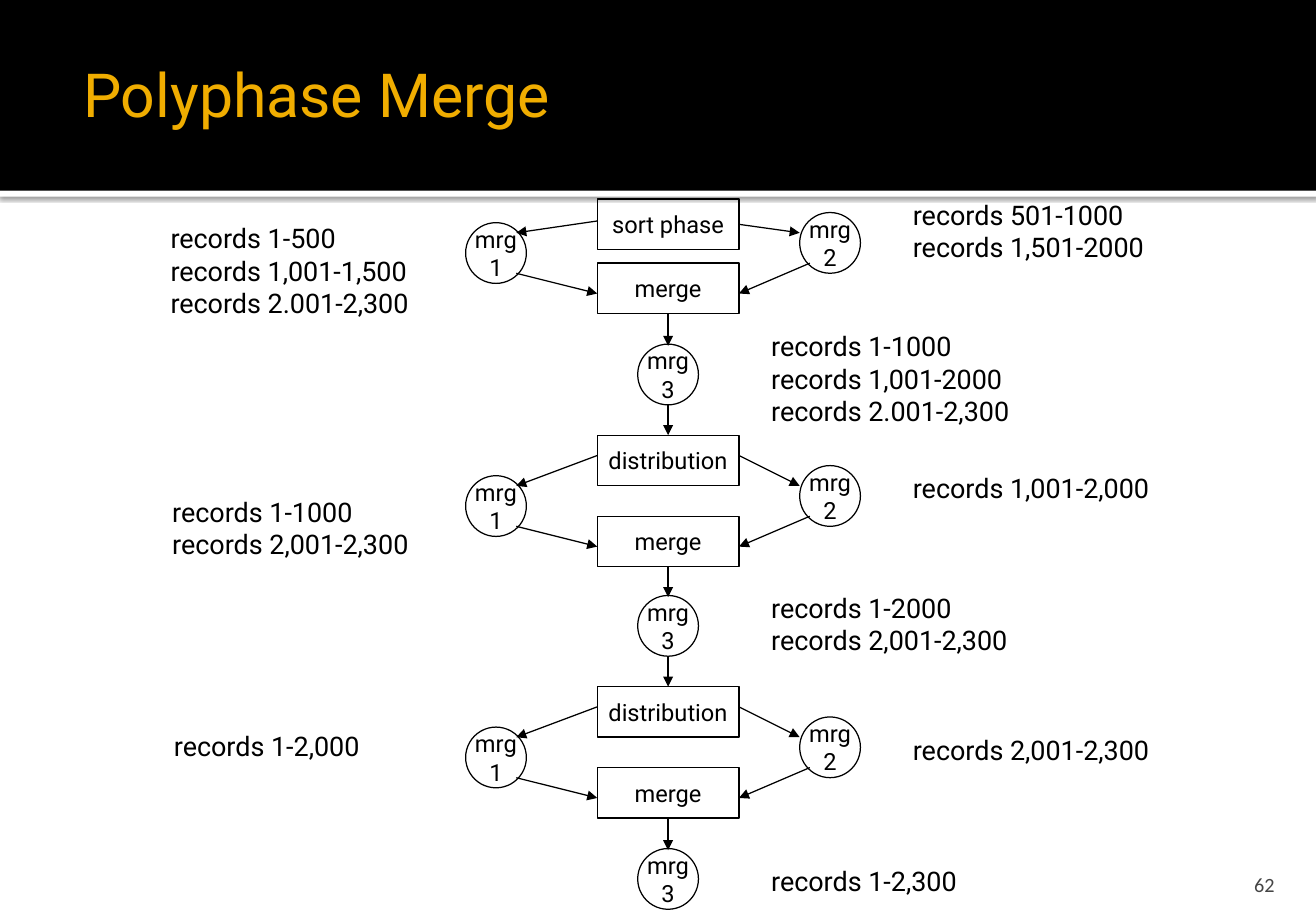
from lxml.etree import SubElement
from pptx import Presentation
from pptx.dml.color import RGBColor
from pptx.enum.shapes import MSO_CONNECTOR as Connector, MSO_SHAPE as Shape
from pptx.enum.text import MSO_ANCHOR as Anchor, MSO_AUTO_SIZE as AutoSize, PP_ALIGN as Align
from pptx.oxml import parse_xml
from pptx.oxml.ns import nsdecls, qn
from pptx.util import Pt

BLACK = RGBColor(0, 0, 0)
WHITE = RGBColor(255, 255, 255)
AMBER = RGBColor(0xF0, 0xAD, 0x00)
GREY = RGBColor(0x45, 0x45, 0x45)

PAGE_WIDTH, PAGE_HEIGHT = 780, 540
HEADER_HEIGHT = 113
STEP_LEFT, STEP_WIDTH, STEP_HEIGHT = 354, 84, 30
STEP_RIGHT = STEP_LEFT + STEP_WIDTH
CENTER = STEP_LEFT + STEP_WIDTH / 2
FILE_SIZE = 36
FILE_1_LEFT, FILE_2_LEFT, FILE_3_LEFT = 276, 474, CENTER - FILE_SIZE / 2

# First step, its top, top of its merge, top of the merged file, and where
# the two arrows leave the first step (left, right) relative to the merge.
PHASES = [
    ("sort phase", 118, 156, 204, (-25, -23)),
    ("distribution", 258, 306, 353, (-36, -36)),
    ("distribution", 407, 455, 503, (-36, -36)),
]

RECORDS = [
    (94, 128, "records 1-500\nrecords 1,001-1,500\nrecords 2.001-2,300"),
    (534, 114, "records 501-1000\nrecords 1,501-2000"),
    (450, 192, "records 1-1000\nrecords 1,001-2000\nrecords 2.001-2,300"),
    (95, 290, "records 1-1000\nrecords 2,001-2,300"),
    (534, 276, "records 1,001-2,000"),
    (450, 347, "records 1-2000\nrecords 2,001-2,300"),
    (96, 429, "records 1-2,000"),
    (534, 431, "records 2,001-2,300"),
    (450, 509, "records 1-2,300"),
]


def format_text(frame, size, color=BLACK, align=Align.LEFT, font="Roboto"):
    for para in frame.paragraphs:
        para.alignment = align
        para.space_before = Pt(0)
        for span in para.runs:
            span.font.name = font
            span.font.size = Pt(size)
            span.font.color.rgb = color


def add_band(page, top, height, color):
    band = page.shapes.add_shape(Shape.RECTANGLE, 0, Pt(top), Pt(PAGE_WIDTH), Pt(height))
    band.shadow.inherit = False
    band.fill.solid()
    band.fill.fore_color.rgb = color
    band.line.fill.background()
    return band


def add_header(page):
    strip = add_band(page, HEADER_HEIGHT, 3.6, WHITE)
    strip.element.spPr.find(qn("a:effectLst")).append(parse_xml(
        f'<a:outerShdw {nsdecls("a")} blurRad="{Pt(2.5)}" dist="{Pt(0.8)}" dir="5400000">'
        '<a:srgbClr val="000000"><a:alpha val="60000"/></a:srgbClr></a:outerShdw>'))
    add_band(page, 0, HEADER_HEIGHT, BLACK)

    title = page.shapes.title
    title.left, title.top, title.width, title.height = Pt(42), Pt(30), Pt(318), Pt(51)
    frame = title.text_frame
    frame.text = "Polyphase Merge"
    frame.vertical_anchor = Anchor.TOP
    frame.auto_size = AutoSize.NONE
    format_text(frame, 36, AMBER)
    page.shapes.element.append(title.element)  # in front of the header


def add_node(page, kind, left, top, width, height, text):
    node = page.shapes.add_shape(kind, Pt(left), Pt(top), Pt(width), Pt(height))
    node.shadow.inherit = False
    node.fill.background()
    node.line.color.rgb = BLACK
    node.line.width = Pt(0.75)
    frame = node.text_frame
    frame.text = text
    frame.word_wrap = False
    frame.vertical_anchor = Anchor.MIDDLE
    format_text(frame, 14, align=Align.CENTER)
    return node


def add_step(page, top, text):
    return add_node(page, Shape.RECTANGLE, STEP_LEFT, top, STEP_WIDTH, STEP_HEIGHT, text)


def add_file(page, left, top, number):
    return add_node(page, Shape.OVAL, left, top, FILE_SIZE, FILE_SIZE, f"mrg\n{number}")


def add_arrow(page, x1, y1, x2, y2):
    arrow = page.shapes.add_connector(Connector.STRAIGHT, Pt(x1), Pt(y1), Pt(x2), Pt(y2))
    arrow.line.color.rgb = BLACK
    arrow.line.width = Pt(0.75)
    SubElement(arrow.line._get_or_add_ln(), qn("a:tailEnd"), type="triangle")
    SubElement(arrow.element.spPr, qn("a:effectLst"))
    return arrow


def add_phase(page, first_text, first_top, merge_top, result_top, exits):
    """Draw one split and merge, and return its first step."""
    first = add_step(page, first_top, first_text)
    merge = add_step(page, merge_top, "merge")
    add_file(page, FILE_1_LEFT, merge_top - 24, 1)
    add_file(page, FILE_2_LEFT, merge_top - 30, 2)
    add_file(page, FILE_3_LEFT, result_top, 3)
    left_exit, right_exit = exits
    for x1, dy1, x2, dy2 in [
        (STEP_LEFT, left_exit, 306, -18),
        (STEP_RIGHT, right_exit, FILE_2_LEFT, -18),
        (306, 6, STEP_LEFT, 18),
        (480, 0, STEP_RIGHT, 18),
    ]:
        add_arrow(page, x1, merge_top + dy1, x2, merge_top + dy2)
    down = add_arrow(page, CENTER, merge_top + STEP_HEIGHT, CENTER, result_top + 1)
    down.begin_connect(merge, 2)
    return first


def add_records(page, left, top, text):
    height = 7.2 + 19 * len(text.splitlines())
    box = page.shapes.add_textbox(Pt(left), Pt(top), Pt(168), Pt(height))
    frame = box.text_frame
    frame.text = text
    frame.word_wrap = True
    frame.auto_size = AutoSize.SHAPE_TO_FIT_TEXT
    format_text(frame, 16)


def add_page_number(page, number):
    box = page.shapes.add_textbox(Pt(700), Pt(510), Pt(62.5), Pt(21.5))
    frame = box.text_frame
    frame.text = number
    frame.word_wrap = True
    frame.margin_bottom = 0
    frame.vertical_anchor = Anchor.BOTTOM
    format_text(frame, 12, GREY, Align.RIGHT, "Calibri")


def main():
    deck = Presentation()
    deck.slide_width, deck.slide_height = Pt(PAGE_WIDTH), Pt(PAGE_HEIGHT)
    page = deck.slides.add_slide(deck.slide_layouts.get_by_name("Title Only"))
    add_header(page)
    result_bottom = None
    for phase in PHASES:
        first = add_phase(page, *phase)
        _, first_top, _, result_top, _ = phase
        if result_bottom is not None:
            link = add_arrow(page, CENTER, result_bottom, CENTER, first_top)
            link.end_connect(first, 0)
        result_bottom = result_top + FILE_SIZE
    for left, top, text in RECORDS:
        add_records(page, left, top, text)
    add_page_number(page, "62")
    deck.save("out.pptx")


if __name__ == "__main__":
    main()
